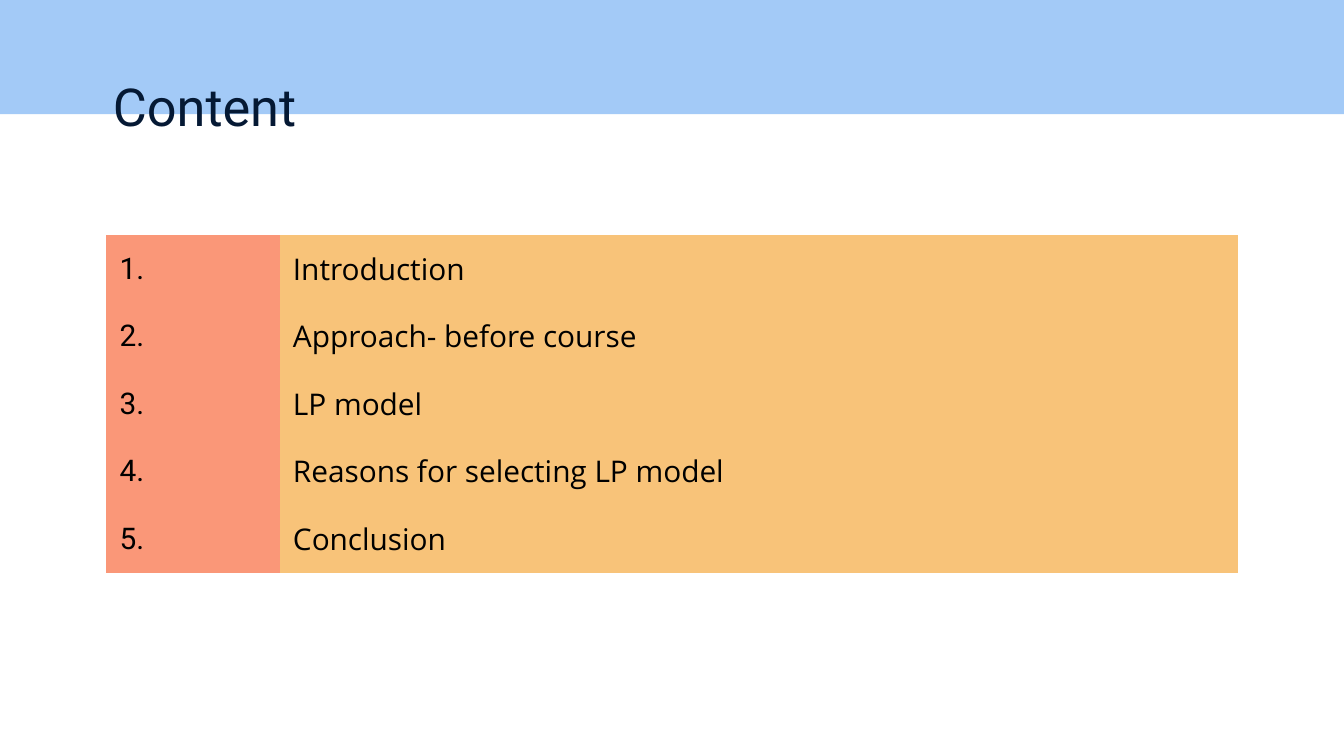
from pptx import Presentation
from pptx.dml.color import RGBColor
from pptx.enum.shapes import MSO_SHAPE
from pptx.enum.text import MSO_ANCHOR, MSO_AUTO_SIZE, PP_ALIGN
from pptx.oxml.ns import qn
from pptx.util import Inches, Pt

BLUE = RGBColor(0xA3, 0xCA, 0xF7)
NAVY = RGBColor(0x05, 0x19, 0x34)
CORAL = RGBColor(0xFA, 0x97, 0x78)
ORANGE = RGBColor(0xF8, 0xC3, 0x79)
BLACK = RGBColor(0, 0, 0)
NO_STYLE_NO_GRID = "{2D5ABB26-0587-4C30-8999-92F81FD0307C}"
MARGIN = Inches(0.1)
TOPICS = [
    "Introduction",
    "Approach- before course",
    "LP model",
    "Reasons for selecting LP model",
    "Conclusion",
]


def set_margins(target):
    target.margin_left = target.margin_right = MARGIN
    target.margin_top = target.margin_bottom = MARGIN


def format_text(text_frame, font_name, size, color):
    paragraph = text_frame.paragraphs[0]
    paragraph.alignment = PP_ALIGN.LEFT
    for run in paragraph.runs:
        run.font.name = font_name
        run.font.size = Pt(size)
        run.font.color.rgb = color


def add_band(slide, width, height):
    band = slide.shapes.add_shape(MSO_SHAPE.RECTANGLE, 0, 0, width, height)
    band.shadow.inherit = False
    band.fill.solid()
    band.fill.fore_color.rgb = BLUE
    band.line.fill.background()
    slide.shapes._spTree.insert(2, band._element)


def set_title(slide, text):
    title = slide.shapes.title
    title.left, title.top = Inches(0.74), Inches(0.45)
    title.width, title.height = Inches(7.73), Inches(0.63)
    text_frame = title.text_frame
    text_frame.text = text
    text_frame.auto_size = MSO_AUTO_SIZE.NONE
    text_frame.vertical_anchor = MSO_ANCHOR.TOP
    set_margins(text_frame)
    format_text(text_frame, "Roboto", 28, NAVY)


def fill_cell(cell, text, font_name, fill_color):
    cell.text_frame.text = text
    cell.vertical_anchor = MSO_ANCHOR.MIDDLE
    set_margins(cell)
    format_text(cell.text_frame, font_name, 16, BLACK)
    cell.fill.solid()
    cell.fill.fore_color.rgb = fill_color


def add_contents_table(slide, topics):
    frame = slide.shapes.add_table(
        len(topics), 2, Inches(0.79), Inches(1.75), Inches(8.43), Inches(2.13)
    )
    table = frame.table
    table.first_row = table.horz_banding = False
    table._tbl.tblPr.find(qn("a:tableStyleId")).text = NO_STYLE_NO_GRID
    table.columns[0].width = Inches(1.29)
    table.columns[1].width = Inches(7.13)
    for index, topic in enumerate(topics):
        table.rows[index].height = Inches(0.42 if index else 0.45)
        fill_cell(table.cell(index, 0), f"{index + 1}.", "Roboto", CORAL)
        topic_cell = table.cell(index, 1)
        fill_cell(topic_cell, topic, "Open Sans", ORANGE)
        if index < len(topics) - 1:
            topic_cell.text_frame.paragraphs[0].space_after = Pt(16)


def main():
    presentation = Presentation()
    presentation.slide_width = Inches(10)
    presentation.slide_height = presentation.slide_width * 9 // 16
    slide = presentation.slides.add_slide(presentation.slide_layouts[5])
    add_band(slide, presentation.slide_width, Inches(0.85))
    set_title(slide, "Content")
    add_contents_table(slide, TOPICS)
    presentation.save("out.pptx")


if __name__ == "__main__":
    main()
